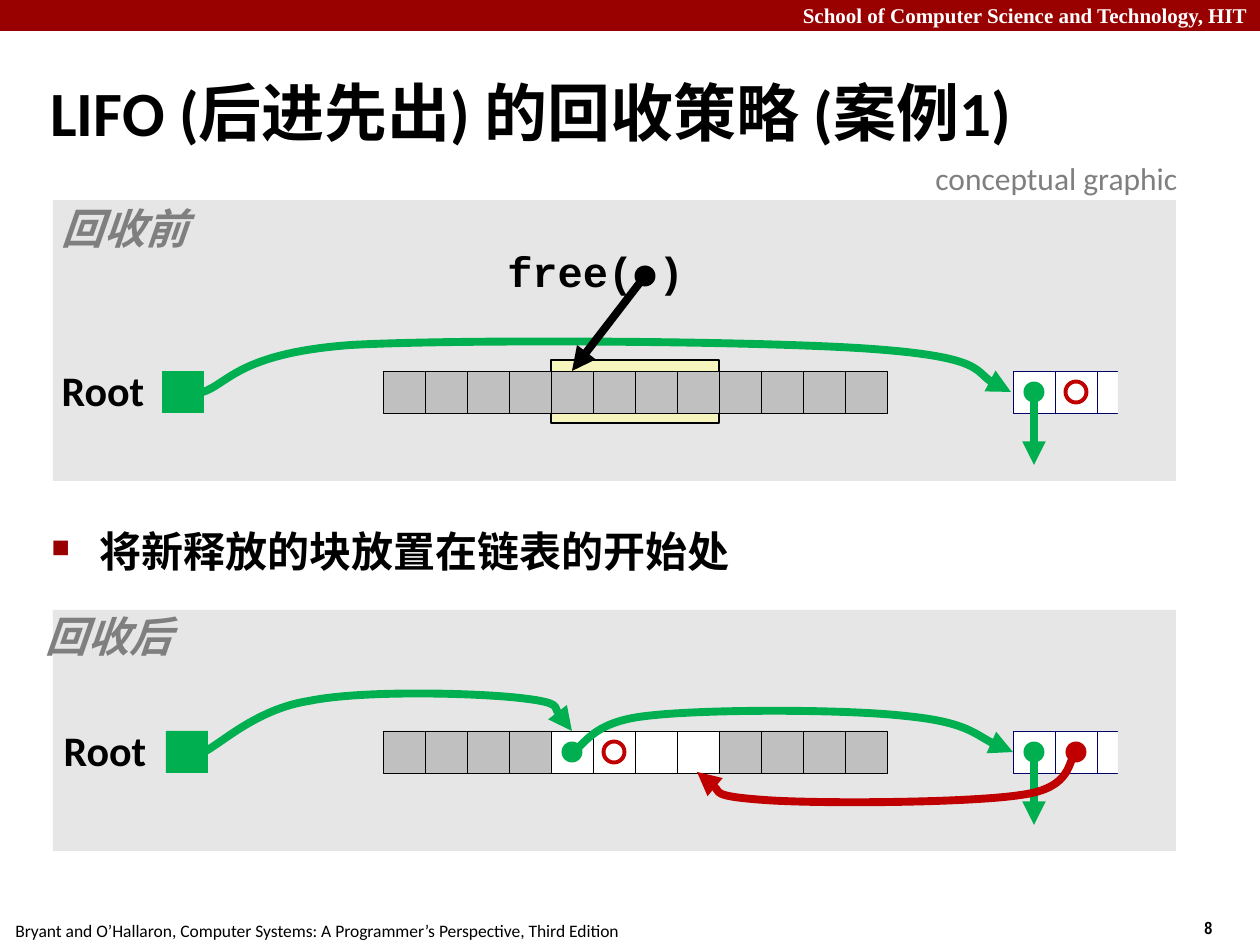
import dataclasses

import lxml.etree
import pptx
import pptx.dml.color
import pptx.enum.shapes
import pptx.enum.text
import pptx.oxml.ns
import pptx.util

EMU_PER_PX = 914400 / 126
SLIDE_WIDTH, SLIDE_HEIGHT = 1260, 945
CELL = 42
DOT = 21
BLOCK_LEFT = 383
BLOCK_COUNT = 12
FREED_CELLS = range(4, 8)
LIST_LEFT = 1013


@dataclasses.dataclass(frozen=True)
class Theme:
    banner: str = "990000"
    panel: str = "E6E6E6"
    highlight: str = "F6F5BD"
    used: str = "C0C0C0"
    free: str = "FFFFFF"
    outline: str = "000000"
    list_outline: str = "000066"
    next_link: str = "00B050"
    previous_link: str = "C00000"
    text: str = "000000"
    muted: str = "7F7F7F"
    inverse: str = "FFFFFF"
    font: str = "Calibri"
    code_font: str = "Courier New"
    banner_font: str = "Times New Roman"
    number_font: str = "Arial Narrow"
    title_size: int = 36
    body_size: int = 24
    note_size: int = 18
    banner_size: int = 12
    footer_size: int = 10
    hairline: float = 0.25
    thin: float = 0.75
    ring: float = 2.25
    link: float = 4.5


THEME = Theme()
SHAPE = pptx.enum.shapes.MSO_SHAPE
ALIGN = pptx.enum.text.PP_ALIGN
ANCHOR = pptx.enum.text.MSO_ANCHOR


def px(value):
    return pptx.util.Emu(round(value * EMU_PER_PX))


def rgb(value):
    return pptx.dml.color.RGBColor.from_string(value)


def add_element(parent, tag, **attributes):
    return lxml.etree.SubElement(parent, pptx.oxml.ns.qn(tag), **attributes)


def style_line(shape, color, width, arrow=False):
    shape.line.color.rgb = rgb(color)
    shape.line.width = pptx.util.Pt(width)
    if arrow:
        line = shape._element.spPr.find(pptx.oxml.ns.qn("a:ln"))
        add_element(line, "a:tailEnd", type="triangle")


def add_box(shapes, left, top, width, height, fill=None, line=None,
            line_width=THEME.hairline, kind=SHAPE.RECTANGLE):
    shape = shapes.add_shape(kind, px(left), px(top), px(width), px(height))
    shape.shadow.inherit = False
    if fill:
        shape.fill.solid()
        shape.fill.fore_color.rgb = rgb(fill)
    else:
        shape.fill.background()
    if line:
        style_line(shape, line, line_width)
    else:
        shape.line.fill.background()
    return shape


def add_dot(shapes, center_x, center_y, **style):
    return add_box(shapes, center_x - DOT / 2, center_y - DOT / 2, DOT, DOT,
                   kind=SHAPE.OVAL, **style)


def add_ring(shapes, center_x, center_y):
    add_dot(shapes, center_x, center_y, line=THEME.previous_link, line_width=THEME.ring)


def add_text(shapes, text, left, top, width, height, size=THEME.body_size,
             color=THEME.text, font=THEME.font, bold=False, italic=False,
             align=ALIGN.LEFT, anchor=ANCHOR.TOP, wrap=False, inset=12.6,
             spacing=None, before=0, bullet=None, indent=0):
    box = shapes.add_textbox(px(left), px(top), px(width), px(height))
    frame = box.text_frame
    frame.word_wrap = wrap
    frame.vertical_anchor = anchor
    frame.margin_left = frame.margin_right = px(inset)
    frame.margin_top = frame.margin_bottom = px(6.3)
    paragraph = frame.paragraphs[0]
    paragraph.alignment = align
    paragraph.line_spacing = spacing
    paragraph.space_before = pptx.util.Pt(before)
    run = paragraph.add_run()
    run.text = text
    run.font.name = font
    run.font.size = pptx.util.Pt(size)
    run.font.bold = bold
    run.font.italic = italic
    run.font.color.rgb = rgb(color)
    if bullet:
        properties = paragraph._p.get_or_add_pPr()
        properties.set("marL", str(px(indent)))
        properties.set("indent", str(-px(indent)))
        bullet_color = add_element(properties, "a:buClr")
        add_element(bullet_color, "a:srgbClr", val=THEME.banner)
        add_element(properties, "a:buSzPct", val="60000")
        add_element(properties, "a:buChar", char=bullet)


def add_label(shapes, text, left, top, width, **style):
    add_text(shapes, text, left, top, width, 58, bold=True, align=ALIGN.CENTER,
             inset=6.3, spacing=0.9, **style)


def add_arrow(shapes, start, end, color, target=None):
    connector = shapes.add_connector(pptx.enum.shapes.MSO_CONNECTOR.STRAIGHT,
                                     *map(px, start + end))
    style_line(connector, color, THEME.link, arrow=True)
    add_element(connector._element.spPr, "a:effectLst")
    if target:
        connector.end_connect(target, 0)


def add_curve(shapes, points, color):
    builder = shapes.build_freeform(*map(px, points[0]))
    builder.add_line_segments([tuple(map(px, point)) for point in points[1:]], close=False)
    curve = builder.convert_to_shape()
    segments = list(curve._element.iter(pptx.oxml.ns.qn("a:lnTo")))
    outline = segments[0].getparent()
    for first in range(0, len(segments), 3):
        bezier = add_element(outline, "a:cubicBezTo")
        for segment in segments[first:first + 3]:
            bezier.append(segment[0])
            outline.remove(segment)
    curve.shadow.inherit = False
    curve.fill.background()
    style_line(curve, color, THEME.link, arrow=True)


def add_heap(shapes, top, freed=()):
    return [add_box(shapes, BLOCK_LEFT + index * CELL, top, CELL, CELL,
                    fill=THEME.free if index in freed else THEME.used, line=THEME.outline)
            for index in range(BLOCK_COUNT)]


def add_list_block(shapes, top):
    group = shapes.add_group_shape()
    for index in range(3):
        add_box(group.shapes, LIST_LEFT + index * CELL, top, CELL, CELL,
                fill=THEME.free, line=THEME.list_outline)
    add_box(group.shapes, LIST_LEFT + 2.5 * CELL, top - CELL / 4, CELL, 1.5 * CELL,
            fill=THEME.panel)
    center_x, center_y = LIST_LEFT + CELL / 2, top + CELL / 2
    add_dot(shapes, center_x, center_y, fill=THEME.next_link)
    add_arrow(shapes, (center_x, center_y), (center_x, top + 94), THEME.next_link)


def add_root(shapes, left, top, label_left):
    add_label(shapes, "Root", label_left, top - 7, 96)
    add_box(shapes, left, top, CELL, CELL, fill=THEME.next_link)


def add_before(shapes):
    top = 371
    add_box(shapes, 53, 200, 1123, 281, fill=THEME.panel)
    add_box(shapes, BLOCK_LEFT + 4 * CELL, 360, 4 * CELL, 63, fill=THEME.highlight,
            line=THEME.outline, line_width=THEME.thin)
    add_curve(shapes, [(203, 392), (228, 384), (239, 353), (352, 345), (462, 339),
                       (762, 341), (872, 349), (982, 357), (982, 383), (1011, 392)],
              THEME.next_link)
    heap = add_heap(shapes, top)
    add_root(shapes, 162, top, 55)
    add_list_block(shapes, top)
    add_ring(shapes, LIST_LEFT + 1.5 * CELL, top + CELL / 2)
    add_label(shapes, "free( )", 501, 245, 189, font=THEME.code_font)
    add_dot(shapes, 645, 276, fill=THEME.outline)
    add_arrow(shapes, (645, 276), (572, top), THEME.outline, target=heap[4])
    add_label(shapes, "回收前", 55, 202, 139, color=THEME.muted, italic=True)


def add_after(shapes):
    top = 731
    add_box(shapes, 53, 610, 1123, 241, fill=THEME.panel)
    add_heap(shapes, top, FREED_CELLS)
    add_dot(shapes, 572, top + CELL / 2, fill=THEME.next_link)
    add_root(shapes, 166, top, 57)
    add_list_block(shapes, top)
    add_dot(shapes, LIST_LEFT + 1.5 * CELL, top + CELL / 2, fill=THEME.previous_link)
    add_curve(shapes, [(572, 752), (585, 746), (591, 722), (646, 716), (702, 709),
                       (845, 709), (906, 716), (966, 722), (990, 745), (1013, 752)],
              THEME.next_link)
    add_curve(shapes, [(1076, 753), (1067, 760), (1074, 788), (1021, 795), (969, 803),
                       (818, 804), (764, 800), (709, 796), (711, 779), (697, 772)],
              THEME.previous_link)
    add_label(shapes, "回收后", 39, 610, 139, color=THEME.muted, italic=True)
    add_ring(shapes, BLOCK_LEFT + 5.5 * CELL, top + CELL / 2)
    add_curve(shapes, [(204, 752), (222, 743), (257, 709), (309, 701), (362, 690),
                       (476, 693), (520, 698), (564, 703), (562, 723), (572, 731)],
              THEME.next_link)


def add_page_text(shapes):
    add_box(shapes, 0, 0, SLIDE_WIDTH, 31, fill=THEME.banner)
    add_text(shapes, "8", 1192, 911, 68, 34, size=THEME.footer_size,
             font=THEME.number_font, bold=True, wrap=True)
    add_text(shapes, "School of Computer Science and Technology, HIT", 0, -4, SLIDE_WIDTH, 38,
             size=THEME.banner_size, font=THEME.banner_font, color=THEME.inverse,
             bold=True, align=ALIGN.RIGHT, wrap=True)
    add_text(shapes, "Bryant and O’Hallaron, Computer Systems: "
             "A Programmer’s Perspective, Third Edition",
             3, 914, 631, 34, size=THEME.footer_size)
    add_text(shapes, "LIFO (后进先出) 的回收策略 (案例1)", 38, 63, 1201, 108,
             size=THEME.title_size, bold=True, anchor=ANCHOR.MIDDLE, wrap=True, spacing=0.87)
    add_text(shapes, "将新释放的块放置在链表的开始处", 39, 523, 1145, 77, bold=True,
             wrap=True, spacing=0.95, before=6, bullet="■", indent=48)
    add_text(shapes, "conceptual graphic", 923, 153, 268, 50, size=THEME.note_size,
             color=THEME.muted)


def main():
    presentation = pptx.Presentation()
    presentation.slide_width = px(SLIDE_WIDTH)
    presentation.slide_height = px(SLIDE_HEIGHT)
    slide = presentation.slides.add_slide(presentation.slide_layouts[6])
    add_page_text(slide.shapes)
    add_before(slide.shapes)
    add_after(slide.shapes)
    presentation.save("out.pptx")


if __name__ == "__main__":
    main()
